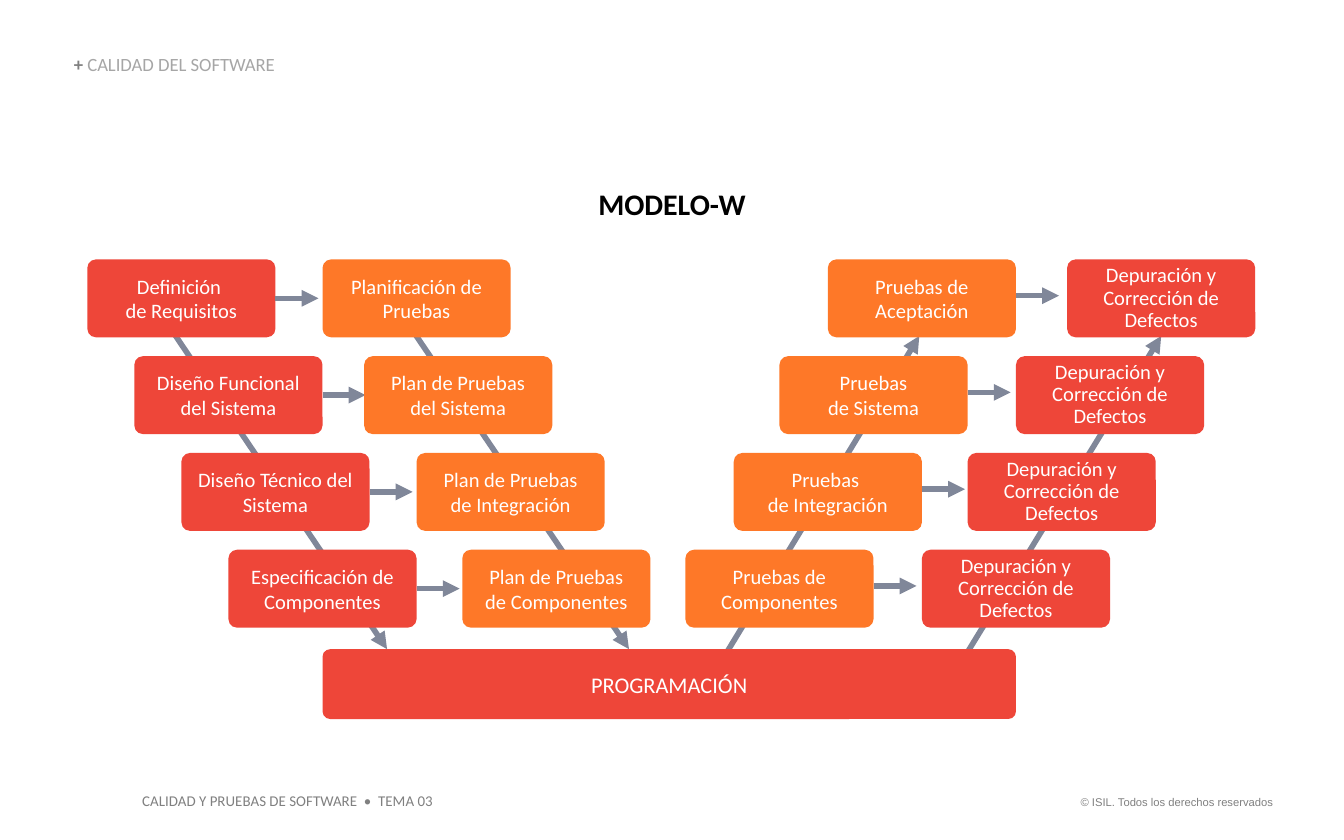
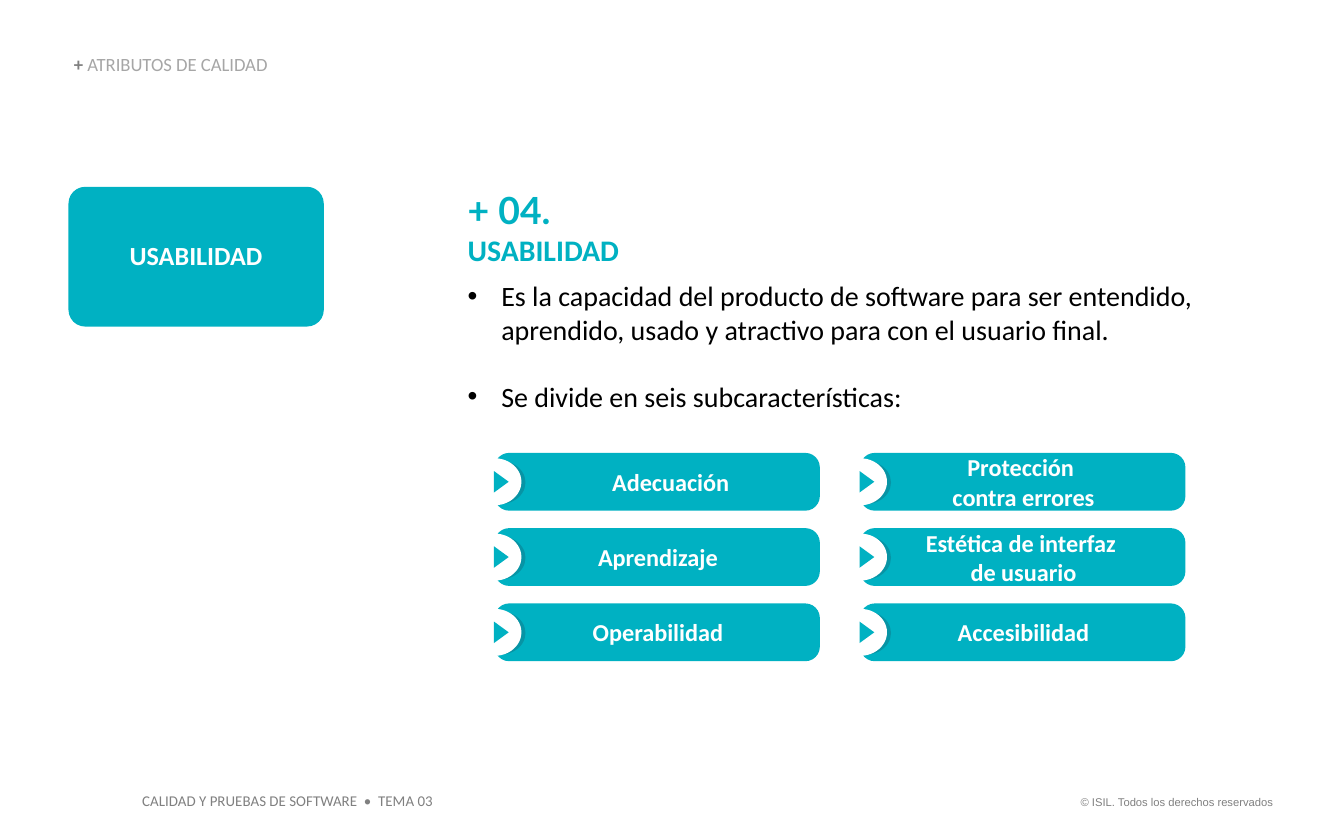
"""Builds two slides on software quality: the W model and usability."""
from lxml import etree
from pptx import Presentation
from pptx.dml.color import RGBColor
from pptx.enum.shapes import MSO_CONNECTOR, MSO_SHAPE
from pptx.enum.text import MSO_ANCHOR, MSO_AUTO_SIZE, PP_ALIGN
from pptx.oxml.ns import qn
from pptx.util import Inches, Pt

ROUNDED = MSO_SHAPE.ROUNDED_RECTANGLE
OVAL = MSO_SHAPE.OVAL
TRIANGLE = MSO_SHAPE.ISOSCELES_TRIANGLE
STRAIGHT = MSO_CONNECTOR.STRAIGHT
LEFT, CENTER, RIGHT = PP_ALIGN.LEFT, PP_ALIGN.CENTER, PP_ALIGN.RIGHT
TOP, MIDDLE, BOTTOM = MSO_ANCHOR.TOP, MSO_ANCHOR.MIDDLE, MSO_ANCHOR.BOTTOM
NO_FIT = MSO_AUTO_SIZE.NONE
TITLE_AND_BODY, TITLE_ONLY = 1, 5

COLORS = {
    "red": "EE4639",
    "orange": "FE7828",
    "slate": "808799",
    "teal": "00B1C2",
    "dark teal": "0794A5",
    "gray": "808080",
    "light gray": "A6A6A6",
    "black": "000000",
    "white": "FFFFFF",
}


def rgb(color):
    return RGBColor.from_string(COLORS[color])


class Deck:
    """Holds the shared style and the slide being built."""

    def __init__(self):
        self.presentation = Presentation()
        self.presentation.slide_width = Inches(10)
        self.presentation.slide_height = Inches(6.25)
        self.page = None

    def add_page(self, layout, heading):
        layouts = self.presentation.slide_layouts
        self.page = self.presentation.slides.add_slide(layouts[layout])
        self.label((7.88, 5.87, 1.69, 0.2), "© ISIL. Todos los derechos reservados",
                   6, "gray", align=RIGHT, name="Arial", wrap=False)
        self.label((0.96, 5.84, 2.37, 0.24), "CALIDAD Y PRUEBAS DE SOFTWARE  •  TEMA 03",
                   8, "gray", wrap=False)
        frame = self.place(self.page.shapes.title, (0.55, 0.41, 3.61, 0.15), BOTTOM)
        para = frame.paragraphs[0]
        for words, color, bold in (("+ ", "gray", True), (heading, "light gray", False)):
            span = para.add_run()
            span.text = words
            span.font.bold = bold
            span.font.color.rgb = rgb(color)
        para.alignment = LEFT
        para.line_spacing = 0.9
        para.font.size = Pt(10)
        para.font.name = "Calibri"

    def place(self, placeholder, area, anchor):
        left, top, width, height = map(Inches, area)
        placeholder.left, placeholder.top = left, top
        placeholder.width, placeholder.height = width, height
        frame = placeholder.text_frame
        frame.margin_left = frame.margin_right = 0
        frame.margin_top = frame.margin_bottom = 0
        frame.vertical_anchor = anchor
        frame.auto_size = NO_FIT
        frame.word_wrap = True
        return frame

    def style(self, para, size, color, bold=False, name="Calibri"):
        para.font.size = Pt(size)
        para.font.name = name
        para.font.bold = bold
        para.font.color.rgb = rgb(color)

    def label(self, area, text, size, color, bold=False, align=LEFT,
              name="Calibri", wrap=True):
        box = self.page.shapes.add_textbox(*map(Inches, area))
        box.text_frame.word_wrap = wrap
        box.text_frame.text = text
        para = box.text_frame.paragraphs[0]
        para.alignment = align
        self.style(para, size, color, bold, name)

    def shape(self, kind, area, fill, parent=None):
        shapes = (parent or self.page).shapes
        shape = shapes.add_shape(kind, *map(Inches, area))
        shape.shadow.inherit = False
        shape.fill.solid()
        shape.fill.fore_color.rgb = rgb(fill)
        shape.line.fill.background()
        return shape

    def box(self, area, text, fill, size, corner=0.11, bold=False, spacing=1.0,
            indent=0, parent=None):
        box = self.shape(ROUNDED, area, fill, parent)
        box.adjustments[0] = corner
        frame = box.text_frame
        frame.word_wrap = True
        frame.vertical_anchor = MIDDLE
        frame.text = text
        for para in frame.paragraphs:
            para.alignment = CENTER
            para.line_spacing = spacing
            if indent:
                properties = para._p.get_or_add_pPr()
                properties.set("marL", str(Inches(indent)))
                properties.set("indent", "0")
            self.style(para, size, "white", bold)

    def arrow(self, start, end):
        arrow = self.page.shapes.add_connector(STRAIGHT, *map(Inches, start + end))
        arrow.line.color.rgb = rgb("slate")
        arrow.line.width = Pt(3)
        outline = arrow.line._get_or_add_ln()
        etree.SubElement(outline, qn("a:tailEnd"), type="triangle")
        etree.SubElement(arrow._element.spPr, qn("a:effectLst"))

    def marked_bar(self, left, top, text, indent):
        group = self.page.shapes.add_group_shape()
        self.box((left + 0.2, top, 2.42, 0.43), text, "teal", 13, corner=0.25,
                 bold=True, indent=indent, parent=group)
        self.shape(OVAL, (left + 0.06, top + 0.06, 0.37, 0.32), "dark teal", group)
        self.shape(OVAL, (left, top + 0.04, 0.4, 0.35), "white", group)
        marker = self.shape(TRIANGLE, (left + 0.17, top + 0.16, 0.16, 0.11), "teal", group)
        marker.rotation = 90

    def body(self, area, number, heading, points):
        frame = self.place(self.page.placeholders[1], area, TOP)
        para = frame.paragraphs[0]
        self.bullet(para, None)
        for index, (words, size, name) in enumerate(
                ((number, 20, "Lato"), (heading, 16, "Calibri"))):
            if index:
                para.add_line_break()
            span = para.add_run()
            span.text = words
            span.font.size = Pt(size)
            span.font.name = name
        para.space_before = Pt(0)
        para.space_after = Pt(6)
        para.font.bold = True
        para.font.color.rgb = rgb("teal")
        for index, point in enumerate(points):
            para = frame.add_paragraph()
            para.text = point
            self.bullet(para, "•")
            para.space_before = Pt(18 if index else 0)
            self.style(para, 15, "black")

    def bullet(self, para, symbol):
        properties = para._p.get_or_add_pPr()
        hanging = Inches(0.25) if symbol else 0
        properties.set("marL", str(hanging))
        properties.set("indent", str(-hanging))
        if symbol:
            color = etree.SubElement(properties, qn("a:buClr"))
            etree.SubElement(color, qn("a:srgbClr"), val=COLORS["black"])
            etree.SubElement(properties, qn("a:buFont"), typeface="Arial")
            etree.SubElement(properties, qn("a:buChar"), char=symbol)
        else:
            etree.SubElement(properties, qn("a:buNone"))


def build_w_model(deck):
    deck.add_page(TITLE_ONLY, "CALIDAD DEL SOFTWARE")
    deck.label((0.55, 1.33, 8.9, 0.37), "MODELO-W", 16, "black", bold=True, align=CENTER)
    for start, end in (((3.03, 2.4), (4.68, 4.83)), ((5.41, 4.85), (6.84, 2.5)),
                       ((7.2, 4.85), (8.64, 2.5)), ((1.24, 2.4), (2.88, 4.83))):
        deck.arrow(start, end)

    fix = "Depuración y Corrección de Defectos"
    columns = (
        ("red", 1.0, 0.29, (0.65, 1, 1.35, 1.7),
         ("Definición \nde Requisitos", "Diseño Funcional del Sistema",
          "Diseño Técnico del Sistema", "Especificación de Componentes")),
        ("orange", 1.0, None, (2.4, 2.71, 3.1, 3.44),
         ("Planificación de Pruebas", "Plan de Pruebas del Sistema",
          "Plan de Pruebas de Integración", "Plan de Pruebas de Componentes")),
        ("orange", 1.0, 0.27, (6.16, 5.8, 5.46, 5.1),
         ("Pruebas de Aceptación", "Pruebas\nde Sistema",
          "Pruebas \nde Integración", "Pruebas de Componentes")),
        ("red", 0.9, None, (7.94, 7.56, 7.2, 6.86), (fix,) * 4),
    )
    for fill, spacing, arrow_drop, lefts, texts in columns:
        for row, (left, text) in enumerate(zip(lefts, texts)):
            top = 1.93 + 0.72 * row
            deck.box((left, top, 1.4, 0.58), text, fill, 11, spacing=spacing)
            if arrow_drop:
                middle = top + arrow_drop
                deck.arrow((left + 1.4, middle), (left + 1.72, middle))
    deck.box((2.4, 4.83, 5.16, 0.52), "PROGRAMACIÓN", "red", 12)


def build_usability(deck):
    deck.add_page(TITLE_AND_BODY, "ATRIBUTOS DE CALIDAD")
    deck.body((3.48, 1.39, 6.01, 1.7), "+ 04.", "USABILIDAD", (
        "Es la capacidad del producto de software para ser entendido, "
        "aprendido, usado y atractivo para con el usuario final.",
        "Se divide en seis subcaracterísticas:"))
    deck.box((0.51, 1.39, 1.9, 1.04), "USABILIDAD", "teal", 14, corner=0.12,
             bold=True, spacing=0.9)
    traits = (
        ("Adecuación", "Aprendizaje", "Operabilidad"),
        ("Protección \vcontra errores", "Estética de interfaz \vde usuario", "Accesibilidad"),
    )
    for column, names in enumerate(traits):
        for row, name in enumerate(names):
            indent = 0.2 if name == "Adecuación" else 0.01
            deck.marked_bar(3.48 + 2.72 * column, 3.37 + 0.56 * row, name, indent)


def main():
    deck = Deck()
    build_w_model(deck)
    build_usability(deck)
    deck.presentation.save("out.pptx")


if __name__ == "__main__":
    main()
